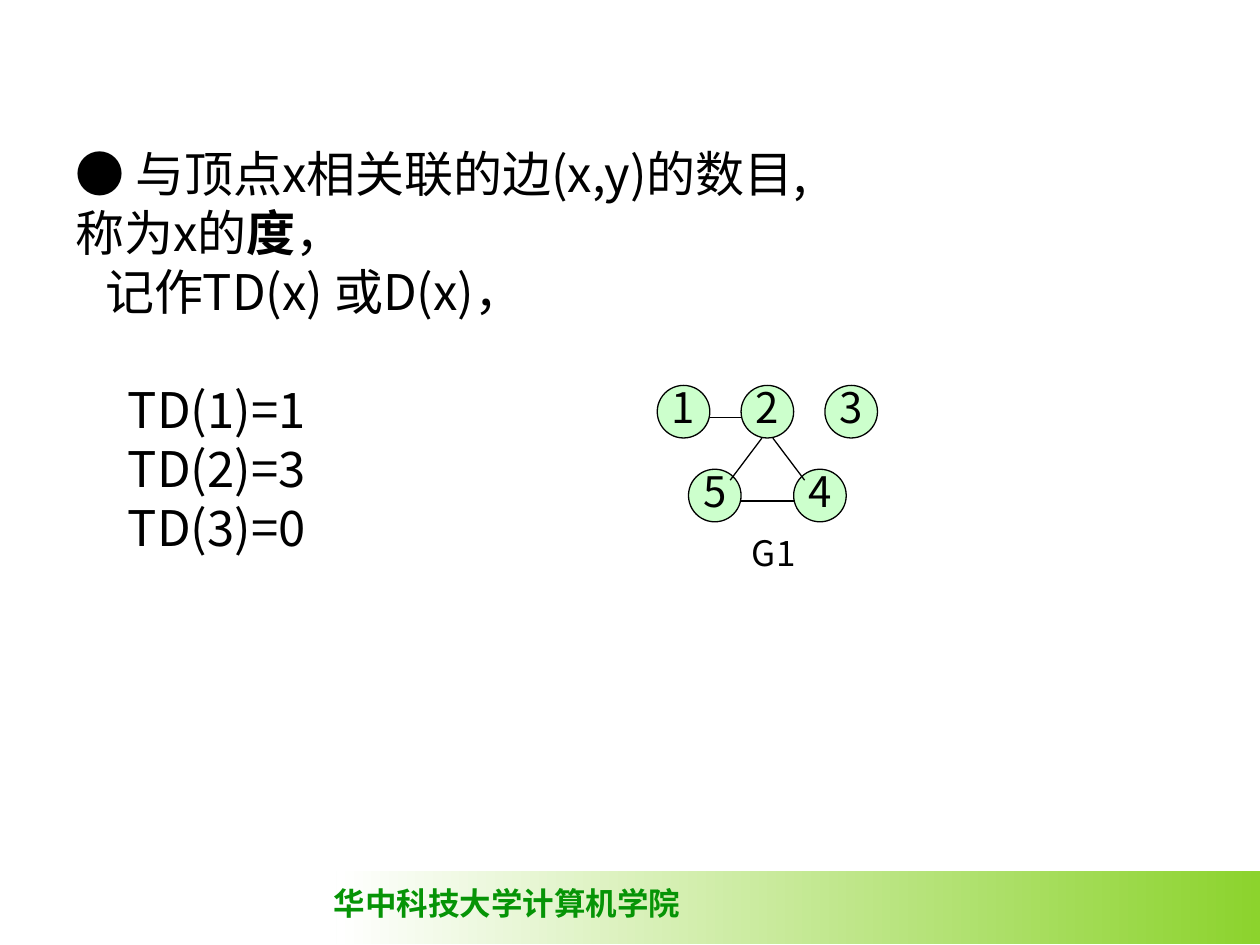
from lxml.etree import SubElement
from pptx import Presentation
from pptx.dml.color import RGBColor
from pptx.enum.shapes import MSO_CONNECTOR, MSO_SHAPE
from pptx.enum.text import MSO_ANCHOR, PP_ALIGN
from pptx.oxml.ns import qn
from pptx.util import Cm, Pt

COLOURS = {"text": "000000", "node": "CCFFCC", "band": "8CD32D",
           "paper": "FFFFFF", "school": "069406"}
BODY_FONT = "Noto Sans CJK SC"
LINE_PITCH = Pt(33.7)


def colour(name):
    """Return the named colour."""
    return RGBColor.from_string(COLOURS[name])


def write(paragraph, text, size=28, font=BODY_FONT, fill="text", bold=False):
    """Add a formatted run to a paragraph."""
    run = paragraph.add_run()
    run.text = text
    run.font.size = Pt(size)
    run.font.name = font
    run.font.bold = bold
    run.font.color.rgb = colour(fill)
    if font == BODY_FONT:
        SubElement(run.font._element, qn("a:ea"), typeface=font)


def add_text_frame(slide, left, top, width, height, wrap=True):
    """Add a text box and return its text frame."""
    box = slide.shapes.add_textbox(Cm(left), Cm(top), Cm(width), Cm(height))
    box.text_frame.word_wrap = wrap
    return box.text_frame


def add_footer(slide, left, top, width, height):
    """Draw the gradient band and the school name."""
    band = slide.shapes.add_shape(MSO_SHAPE.RECTANGLE, Cm(left), Cm(top), Cm(width), Cm(height))
    band.shadow.inherit = False
    band.line.fill.background()
    band.fill.gradient()
    band.fill.gradient_angle = 180
    for stop, name, position in zip(band.fill.gradient_stops, ("band", "paper"), (0, 1)):
        stop.color.rgb = colour(name)
        stop.position = position
    frame = add_text_frame(slide, left - 0.3, top + 0.15, 7.5, 1.02, wrap=False)
    write(frame.paragraphs[0], "华中科技大学计算机学院", size=18,
          font="Times New Roman", fill="school", bold=True)


def add_definition(slide, left, top, width, height):
    """Write the definition of degree and its examples."""
    frame = add_text_frame(slide, left, top, width, height)
    first = frame.paragraphs[0]
    first.line_spacing = LINE_PITCH
    write(first, "● 与顶点x相关联的边(x,y)的数目,称为x的")
    write(first, "度", bold=True)
    write(first, "，")
    lines = [("记作TD(x) 或D(x)，", 0.6, 0), ("TD(1)=1", 1.06, LINE_PITCH),
             ("TD(2)=3", 1.06, 0), ("TD(3)=0", 1.06, 0)]
    for text, indent, gap in lines:
        paragraph = frame.add_paragraph()
        paragraph._p.get_or_add_pPr().set("marL", str(Cm(indent)))
        paragraph.line_spacing = LINE_PITCH
        paragraph.space_before = gap
        write(paragraph, text)


def add_node(slide, left, top, diameter, label):
    """Draw one numbered vertex."""
    node = slide.shapes.add_shape(MSO_SHAPE.OVAL, Cm(left), Cm(top), Cm(diameter), Cm(diameter))
    node.shadow.inherit = False
    node.fill.solid()
    node.fill.fore_color.rgb = colour("node")
    node.line.color.rgb = colour("text")
    node.line.width = Pt(0.75)
    frame = node.text_frame
    frame.word_wrap = False
    frame.vertical_anchor = MSO_ANCHOR.MIDDLE
    paragraph = frame.paragraphs[0]
    paragraph.alignment = PP_ALIGN.CENTER
    paragraph.line_spacing = 0.8
    write(paragraph, label, size=24)


def add_edge(slide, *ends):
    """Draw one edge between two points."""
    edge = slide.shapes.add_connector(MSO_CONNECTOR.STRAIGHT, *map(Cm, ends))
    edge.line.color.rgb = colour("text")
    edge.line.width = Pt(0.75)
    SubElement(edge._element.spPr, qn("a:effectLst"))


def add_graph(slide, left, top):
    """Draw graph G1 with its caption."""
    diameter, step = 1.06, 1.69
    nodes = {"2": (step, 0), "5": (0.63, step), "4": (2.75, step),
             "1": (0, 0), "3": (2 * step, 0)}
    for label, (x, y) in nodes.items():
        add_node(slide, left + x, top + y, diameter, label)
    apex = left + step + diameter / 2
    for side in (-1, 1):
        add_edge(slide, apex + side * 0.11, top + diameter, apex + side * 0.75, top + 1.91)
    for start, end in (("5", "4"), ("1", "2")):
        x, y = nodes[start]
        level = top + y + 0.64
        add_edge(slide, left + x + diameter, level, left + nodes[end][0], level)
    frame = add_text_frame(slide, left + 1.91, top + 3.18, diameter, 0.58)
    frame.margin_left = frame.margin_right = frame.margin_top = frame.margin_bottom = 0
    frame.paragraphs[0].line_spacing = 0.7
    write(frame.paragraphs[0], "G1", size=20)


def main():
    """Build and save the slide."""
    presentation = Presentation()
    presentation.slide_width, presentation.slide_height = Cm(25.4), Cm(19.05)
    slide = presentation.slides.add_slide(presentation.slide_layouts[6])
    add_footer(slide, 6.78, 17.55, 18.62, 1.48)
    add_definition(slide, 1.27, 2.77, 15.24, 9.7)
    add_graph(slide, 13.25, 7.77)
    presentation.save("out.pptx")


if __name__ == "__main__":
    main()
